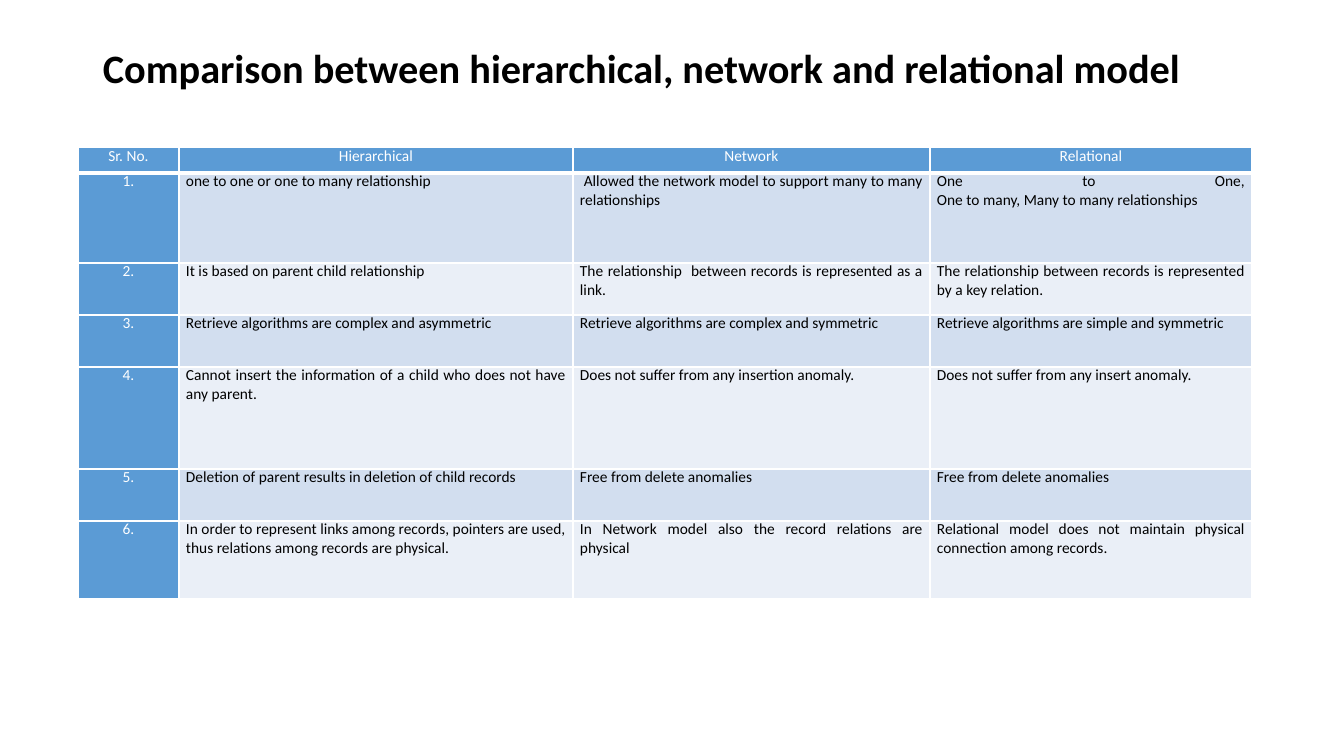
from dataclasses import dataclass

from lxml import etree
from pptx import Presentation
from pptx.dml.color import RGBColor
from pptx.enum.text import MSO_ANCHOR, PP_ALIGN
from pptx.oxml.ns import qn
from pptx.util import Emu, Pt

TOP = MSO_ANCHOR.TOP
LEFT, CENTER, JUSTIFY = PP_ALIGN.LEFT, PP_ALIGN.CENTER, PP_ALIGN.JUSTIFY
PIXEL = 914400 / 100.8


@dataclass(frozen=True)
class Theme:
    """Colours, font and type sizes of the slide."""
    font: str = "Calibri"
    ink: str = "000000"
    light: str = "FFFFFF"
    accent: str = "5B9BD5"
    bands: tuple = ("D2DEEF", "EAEFF7")
    title_size: float = 28.8
    table_size: float = 11
    table_leading: float = 13
    table_gap: float = 3
    border: float = 1
    header_border: float = 3


def px(length):
    """Turn pixels into EMU."""
    return Emu(round(length * PIXEL))


class SlideBuilder:
    """Holds the theme and the current slide, and draws elements on it."""

    def __init__(self, slide, theme):
        """Keep the slide and the theme."""
        self.slide = slide
        self.theme = theme

    def style(self, para, size, color, align, bold=False):
        """Format a paragraph and all its runs."""
        para.alignment = align
        for span in para.runs:
            span.font.name = self.theme.font
            span.font.size = Pt(size)
            span.font.bold = bold
            span.font.color.rgb = RGBColor.from_string(color)

    def title(self, text, left, top, width, height):
        """Add the slide heading."""
        frame = self.slide.shapes.add_textbox(
            px(left), px(top), px(width), px(height)).text_frame
        frame.word_wrap = True
        frame.vertical_anchor = TOP
        frame.margin_top = px(9)
        frame.text = text
        para = frame.paragraphs[0]
        para.line_spacing = 0.9
        self.style(para, self.theme.title_size, self.theme.ink, LEFT, True)

    def table(self, rows, left, top, widths, heights):
        """Add a table with a coloured header row and first column."""
        table = self.slide.shapes.add_table(
            len(rows), len(widths), px(left), px(top),
            px(sum(widths)), px(sum(heights))).table
        for column, width in zip(table.columns, widths):
            column.width = px(width)
        for row, height in zip(table.rows, heights):
            row.height = px(height)
        for row_index, texts in enumerate(rows):
            for column_index, text in enumerate(texts):
                self.cell(table.cell(row_index, column_index), text,
                          row_index, column_index)

    def cell(self, cell, text, row_index, column_index):
        """Fill and format one table cell."""
        theme = self.theme
        is_header = row_index == 0
        is_heading = is_header or column_index == 0
        band = theme.bands[(row_index - 1) % len(theme.bands)]
        cell.fill.solid()
        cell.fill.fore_color.rgb = RGBColor.from_string(
            theme.accent if is_heading else band)
        cell.margin_left = cell.margin_right = px(7)
        cell.margin_top = cell.margin_bottom = 0
        cell.vertical_anchor = TOP
        cell.text_frame.text = text
        para = cell.text_frame.paragraphs[0]
        para.line_spacing = Pt(theme.table_leading)
        para.space_before = para.space_after = Pt(theme.table_gap)
        self.style(para, theme.table_size,
                   theme.light if is_heading else theme.ink,
                   CENTER if is_heading else JUSTIFY)
        self.borders(cell, theme.header_border if is_header else theme.border)

    def borders(self, cell, bottom_width):
        """Draw the four cell borders, which come before the fill in XML."""
        properties = cell._tc.get_or_add_tcPr()
        for index, side in enumerate(("lnL", "lnR", "lnT", "lnB")):
            width = bottom_width if side == "lnB" else self.theme.border
            line = etree.Element(qn(f"a:{side}"), w=str(Pt(width)))
            fill = etree.SubElement(line, qn("a:solidFill"))
            etree.SubElement(fill, qn("a:srgbClr"), val=self.theme.light)
            properties.insert(index, line)


ROWS = [
    ("Sr. No.", "Hierarchical", "Network", "Relational"),
    ("1.", "one to one or one to many relationship",
     " Allowed the network model to support many to many relationships",
     "One to One,\vOne to many, Many to many relationships"),
    ("2.", "It is based on parent child relationship",
     "The relationship  between records is represented as a link.",
     "The relationship between records is represented by a key relation."),
    ("3.", "Retrieve algorithms are complex and asymmetric",
     "Retrieve algorithms are complex and symmetric",
     "Retrieve algorithms are simple and symmetric"),
    ("4.", "Cannot insert the information of a child who does not have "
     "any parent.",
     "Does not suffer from any insertion anomaly.",
     "Does not suffer from any insert anomaly."),
    ("5.", "Deletion of parent results in deletion of child records",
     "Free from delete anomalies", "Free from delete anomalies"),
    ("6.", "In order to represent links among records, pointers are used, "
     "thus relations among records are physical.",
     "In Network model also the record relations are physical",
     "Relational model does not maintain physical connection among records."),
]


def main():
    """Build the slide and save the deck."""
    deck = Presentation()
    deck.slide_width, deck.slide_height = px(1344), px(756)
    page = SlideBuilder(deck.slides.add_slide(deck.slide_layouts[6]), Theme())
    page.title("Comparison between hierarchical, network and relational model",
               93, 40, 1159, 107)
    page.table(ROWS, 78, 147, widths=(101, 394, 357, 322),
               heights=(26, 90, 52, 52, 102, 52, 78))
    deck.save("out.pptx")


main()
